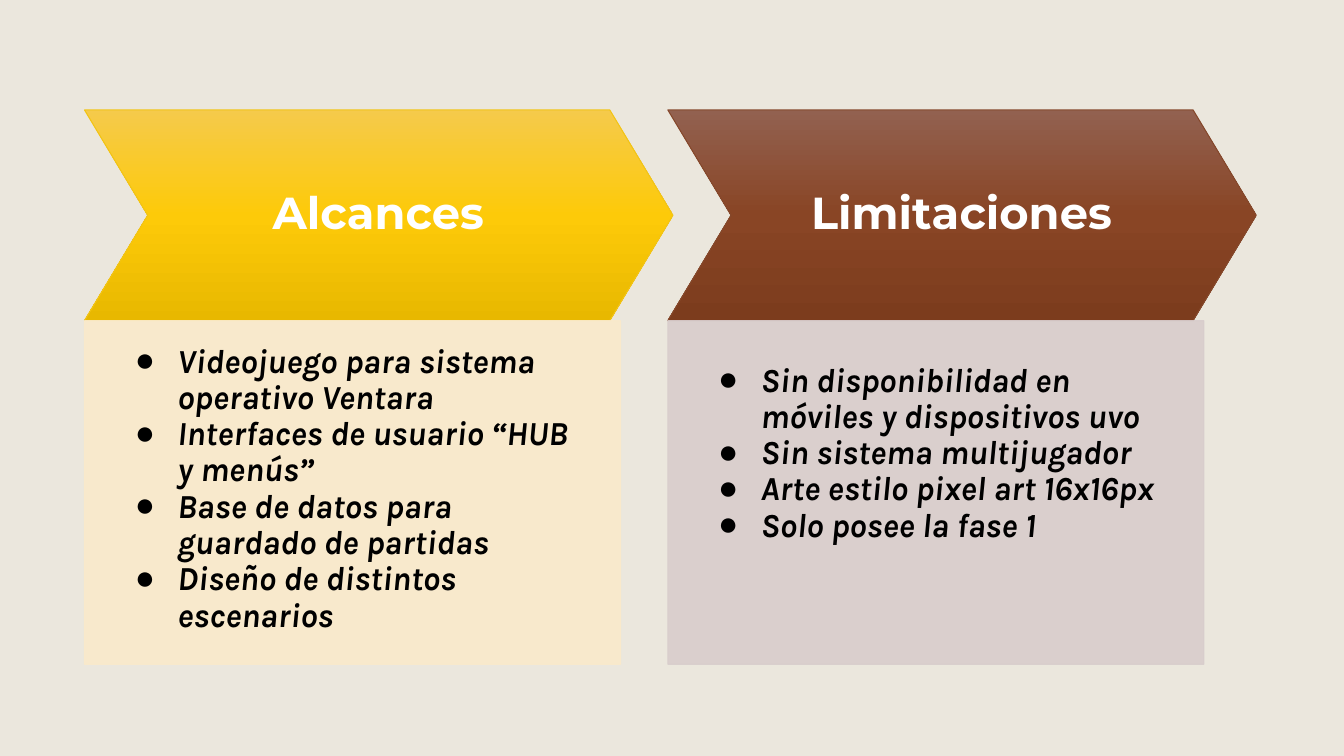
from copy import deepcopy

from lxml import etree
from pptx import Presentation
from pptx.dml.color import RGBColor
from pptx.enum.shapes import MSO_SHAPE
from pptx.enum.text import MSO_ANCHOR, MSO_AUTO_SIZE, PP_ALIGN
from pptx.oxml.ns import qn
from pptx.util import Cm, Pt

CHEVRON, RECTANGLE = MSO_SHAPE.CHEVRON, MSO_SHAPE.RECTANGLE
TOP, MIDDLE = MSO_ANCHOR.TOP, MSO_ANCHOR.MIDDLE
CENTER, LEFT = PP_ALIGN.CENTER, PP_ALIGN.LEFT
NO_AUTOFIT = MSO_AUTO_SIZE.NONE

COLORS = {
    "background": "EBE7DD",
    "heading": "FFFFFF",
    "list": "000000",
    "yellow": ("F5CA4B", "FDCA09", "E8B800"),
    "yellow_edge": "F2C415",
    "yellow_card": "FAEACB",
    "brown": ("926150", "894525", "7C3C1D"),
    "brown_edge": "85482B",
    "brown_card": "D8CDCC",
}

COLUMNS = [
    ("Alcances", "yellow", 0.48, [
        "Videojuego para sistema operativo Ventara",
        "Interfaces de usuario “HUB y menús”",
        "Base de datos para guardado de partidas",
        "Diseño de distintos escenarios",
    ]),
    ("Limitaciones", "brown", 0, [
        "Sin disponibilidad en móviles y dispositivos uvo",
        "Sin sistema multijugador",
        "Arte estilo pixel art 16x16px",
        "Solo posee la fase 1",
    ]),
]

BANNER_HEIGHT = 5.31
CARD_WIDTH = 13.51
HEADING_INDENT = 1.32
HEADING_WIDTH = 12.17


def rgb(name):
    return RGBColor.from_string(COLORS[name])


def add_panel(slide, kind, box, edge):
    panel = slide.shapes.add_shape(kind, *map(Cm, box))
    panel.shadow.inherit = False
    panel.line.color.rgb = rgb(edge)
    panel.line.width = Pt(0.75)
    return panel


def add_banner(slide, box, theme):
    banner = add_panel(slide, CHEVRON, box, theme + "_edge")
    banner.adjustments[0] = 0.3
    banner.fill.gradient()
    banner.fill.gradient_angle = 270
    stops = banner._element.spPr.find(qn("a:gradFill")).find(qn("a:gsLst"))
    stops.insert(1, deepcopy(stops[0]))
    for order, (stop, shade) in enumerate(zip(banner.fill.gradient_stops, COLORS[theme])):
        stop.position = order / 2
        stop.color.rgb = RGBColor.from_string(shade)


def add_card(slide, box, theme):
    card = add_panel(slide, RECTANGLE, box, theme + "_card")
    card.fill.solid()
    card.fill.fore_color.rgb = rgb(theme + "_card")
    for shade in card._element.spPr.iter(qn("a:srgbClr")):
        etree.SubElement(shade, qn("a:alpha"), val="89000")


def fill_placeholder(slide, holder, box, lines, anchor, align, margins, font, size, color):
    slide.shapes._spTree.append(holder._element)
    holder.left, holder.top, holder.width, holder.height = map(Cm, box)
    frame = holder.text_frame
    frame.text = "\n".join(lines)
    frame.word_wrap = True
    frame.auto_size = NO_AUTOFIT
    frame.vertical_anchor = anchor
    frame.margin_left = frame.margin_top = frame.margin_right = Cm(margins[0])
    frame.margin_bottom = Cm(margins[1])
    for paragraph in frame.paragraphs:
        paragraph.alignment = align
        paragraph.line_spacing = 0.9
        paragraph.space_before = Pt(0)
        paragraph.font.name = font
        paragraph.font.size = Pt(size)
        paragraph.font.bold = True
        paragraph.font.color.rgb = rgb(color)
    return frame.paragraphs


def add_bullet(paragraph):
    properties = paragraph._p.get_or_add_pPr()
    properties.set("marL", str(Cm(1.27)))
    properties.set("indent", str(-Cm(1.07)))
    tint = etree.Element(qn("a:buClr"))
    etree.SubElement(tint, qn("a:srgbClr"), val=COLORS["list"])
    mark = etree.Element(qn("a:buChar"), char="●")
    run_defaults = properties.find(qn("a:defRPr"))
    run_defaults.addprevious(tint)
    run_defaults.addprevious(mark)


def add_column(slide, box, column, heading_holder, list_holder):
    left, top, width, height = box
    heading, theme, list_rise, points = column
    card_top = top + BANNER_HEIGHT
    card_height = height - BANNER_HEIGHT
    add_banner(slide, (left, top, width, BANNER_HEIGHT), theme)
    add_card(slide, (left, card_top, CARD_WIDTH, card_height), theme)
    fill_placeholder(
        slide, heading_holder, (left + HEADING_INDENT, top, HEADING_WIDTH, BANNER_HEIGHT),
        [heading], MIDDLE, CENTER, (0.56, 0.56), "Montserrat", 32, "heading")
    bullets = fill_placeholder(
        slide, list_holder, (left, card_top - list_rise, CARD_WIDTH, card_height + list_rise),
        points, TOP, LEFT, (1.07, 2.13), "Karla", 24, "list")
    for bullet in bullets:
        bullet.font.italic = True
        add_bullet(bullet)


def main():
    deck = Presentation()
    deck.slide_width, deck.slide_height = Cm(33.87), Cm(19.05)
    slide = deck.slides.add_slide(deck.slide_layouts.get_by_name("Comparison"))
    slide.background.fill.solid()
    slide.background.fill.fore_color.rgb = rgb("background")
    title, *holders = list(slide.placeholders)
    slide.shapes._spTree.remove(title._element)
    for order, column in enumerate(COLUMNS):
        box = (2.13 + 14.7 * order, 2.77, 14.83, 13.97)
        add_column(slide, box, column, *holders[2 * order:2 * order + 2])
    deck.save("out.pptx")


if __name__ == "__main__":
    main()
